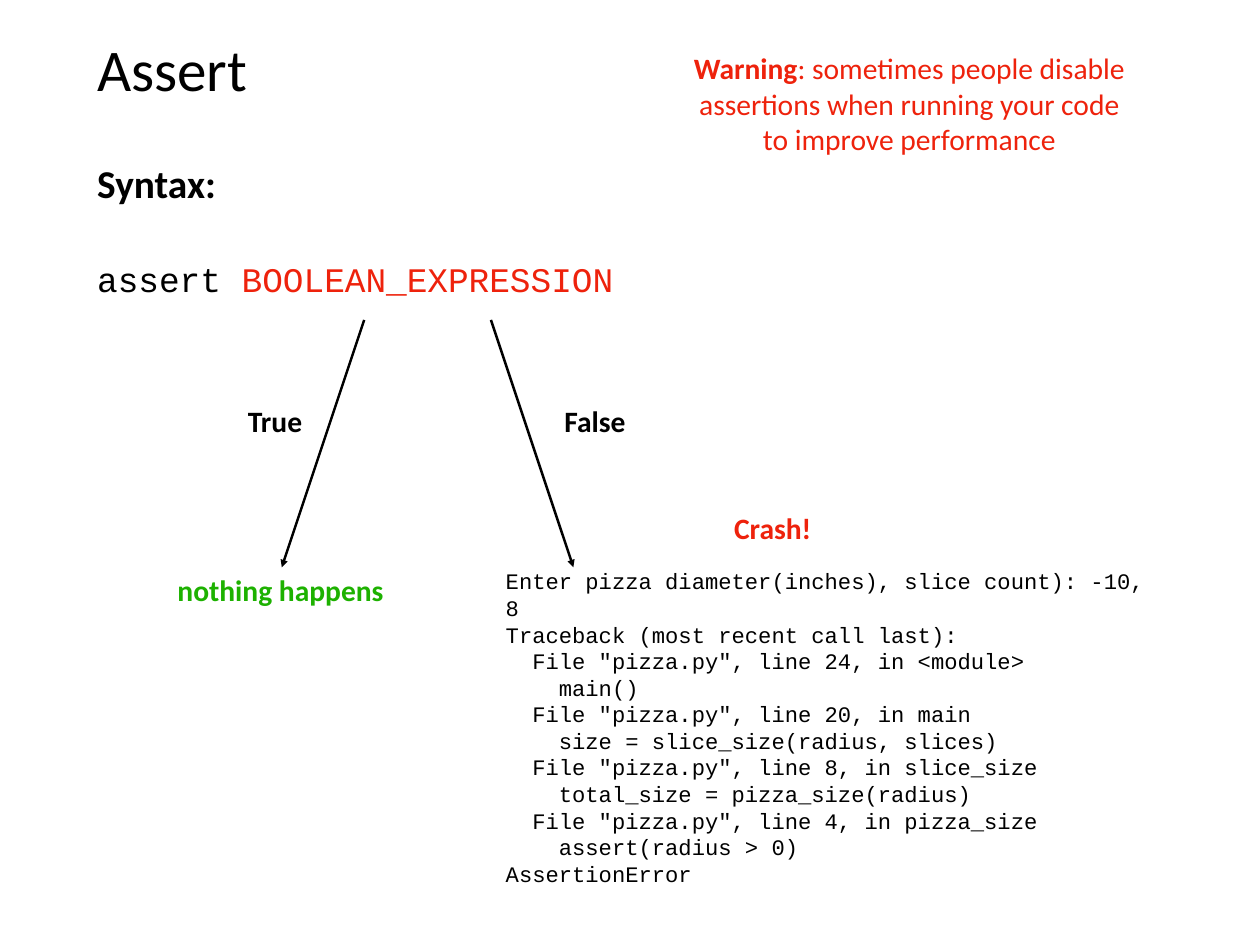
from lxml.etree import SubElement
from pptx import Presentation
from pptx.dml.color import RGBColor
from pptx.enum.shapes import MSO_CONNECTOR as Connector
from pptx.enum.text import MSO_ANCHOR as Anchor, MSO_AUTO_SIZE as AutoSize, PP_ALIGN as Align
from pptx.oxml.ns import qn
from pptx.util import Pt

PX = 12700  # EMU per px, on a 1024 by 768 px slide
BLACK, RED, GREEN = "000000", "EE220C", "1DB100"
SANS, MONO = "Calibri", "Courier New"


def color(hex_code):
    return RGBColor.from_string(hex_code)


def write(shape, place, lines, align=Align.LEFT, anchor=Anchor.MIDDLE):
    """Place a shape and fill it; a line is a list of (text, size, font, color, bold)."""
    shape.left, shape.top, shape.width, shape.height = [n * PX for n in place]
    frame = shape.text_frame
    frame.word_wrap = True
    frame.auto_size = AutoSize.NONE
    frame.vertical_anchor = anchor
    frame.margin_left = frame.margin_right = 4 * PX
    frame.margin_top = frame.margin_bottom = 4 * PX
    for index, line in enumerate(lines):
        para = frame.add_paragraph() if index else frame.paragraphs[0]
        para.alignment = align
        for text, size, font, hex_code, bold in line:
            span = para.add_run()
            span.text = text
            span.font.size = Pt(size)
            span.font.name = font
            span.font.bold = bold
            span.font.color.rgb = color(hex_code)
    return frame


deck = Presentation()
deck.slide_width, deck.slide_height = 1024 * PX, 768 * PX
page = deck.slides.add_slide(deck.slide_layouts[5])
shapes = page.shapes

# Title
write(shapes.title, (75, 20, 874, 71), [[("Assert", 48, SANS, BLACK, False)]])

# Syntax
syntax = write(shapes.add_textbox(0, 0, 0, 0), (75, 125, 874, 608), [
    [("Syntax:", 32, SANS, BLACK, True)],
    [("assert ", 28, MONO, BLACK, False), ("BOOLEAN_EXPRESSION", 28, MONO, RED, False)],
], anchor=Anchor.TOP)
syntax.paragraphs[1].space_before = Pt(42)

# Traceback: indent level and text of each line
traceback = [
    (0, "Enter pizza diameter(inches), slice count): -10, 8"),
    (0, "Traceback (most recent call last):"),
    (1, 'File "pizza.py", line 24, in <module>'),
    (2, "main()"),
    (1, 'File "pizza.py", line 20, in main'),
    (2, "size = slice_size(radius, slices)"),
    (1, 'File "pizza.py", line 8, in slice_size'),
    (2, "total_size = pizza_size(radius)"),
    (1, 'File "pizza.py", line 4, in pizza_size'),
    (2, "assert(radius > 0)"),
    (0, "AssertionError"),
]
output = write(shapes.add_textbox(0, 0, 0, 0), (407, 468, 547, 246),
               [[(text, 18, MONO, BLACK, False)] for level, text in traceback])
for para, (level, text) in zip(output.paragraphs, traceback):
    para._p.get_or_add_pPr().set("marL", str(level * Pt(21.6)))

# Branch arrows
for start_x, end_x in [(296, 229), (399, 466)]:
    arrow = shapes.add_connector(Connector.STRAIGHT, start_x * PX, 260 * PX, end_x * PX, 461 * PX)
    arrow.line.color.rgb = color(BLACK)
    arrow.line.width = Pt(2)
    SubElement(arrow.line._get_or_add_ln(), qn("a:tailEnd"), type="triangle")
    SubElement(arrow._element.spPr, qn("a:effectLst"))

# Branch labels and outcomes
for text, hex_code, left, top, width in [
    ("True", BLACK, 192, 323, 63),
    ("False", BLACK, 449, 323, 69),
    ("nothing happens", GREEN, 122, 461, 212),
    ("Crash!", RED, 586, 410, 84),
]:
    write(shapes.add_textbox(0, 0, 0, 0), (left, top, width, 37),
          [[(text, 24, SANS, hex_code, True)]], Align.CENTER)

# Warning
write(shapes.add_textbox(0, 0, 0, 0), (530, 37, 418, 94), [
    [("Warning", 24, SANS, RED, True), (": sometimes people disable", 24, SANS, RED, False)],
    [("assertions when running your code", 24, SANS, RED, False)],
    [("to improve performance", 24, SANS, RED, False)],
], Align.CENTER)

deck.save("out.pptx")
